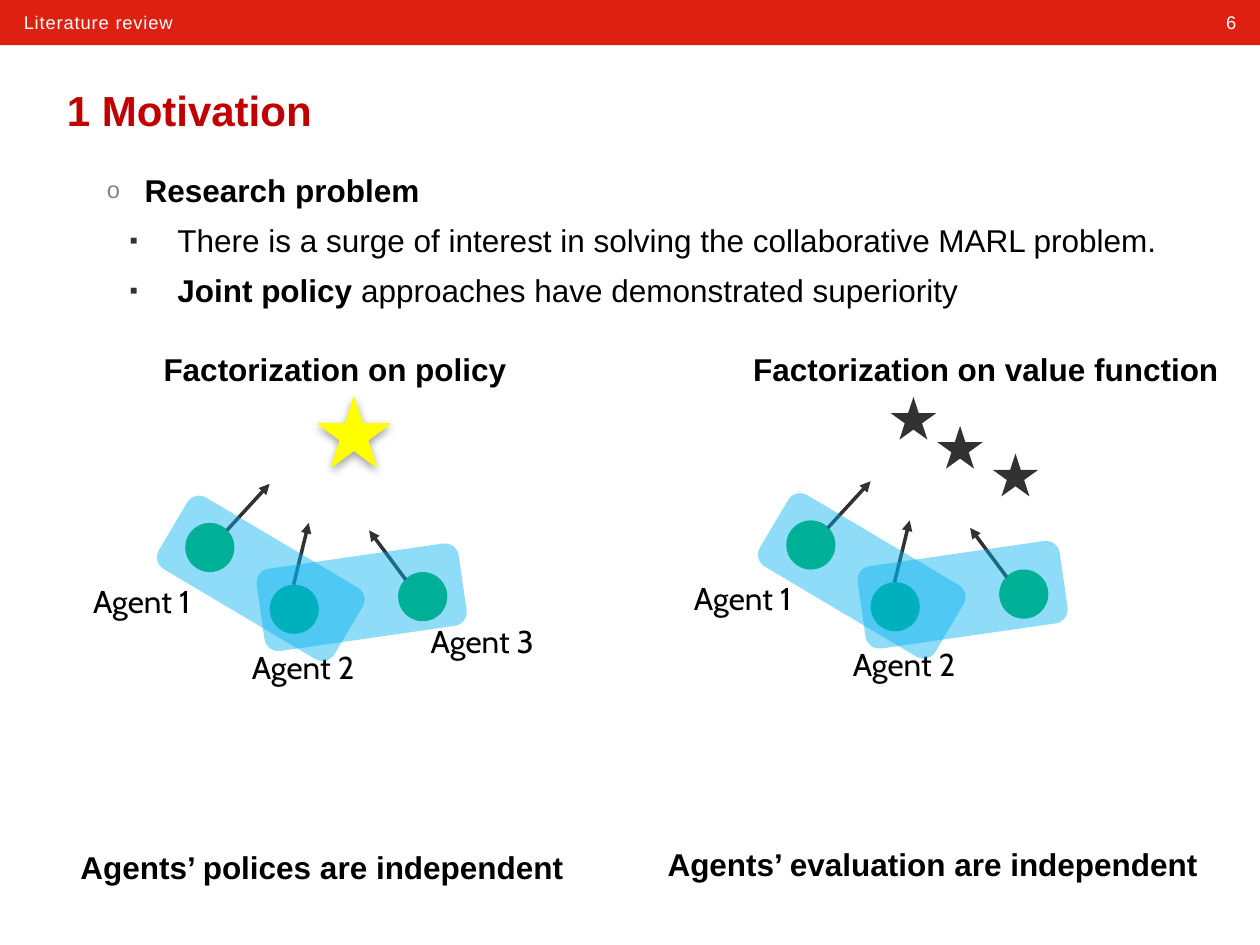
import pptx
import pptx.util
import pptx.dml.color
import pptx.enum.shapes
import pptx.enum.text
import pptx.oxml
import pptx.oxml.ns
import lxml.etree

Inches = pptx.util.Inches
Pt = pptx.util.Pt
SHAPE = pptx.enum.shapes.MSO_SHAPE
ALIGN = pptx.enum.text.PP_ALIGN
qn = pptx.oxml.ns.qn
rgb = pptx.dml.color.RGBColor.from_string

deck = pptx.Presentation()
deck.slide_width = Inches(10)
deck.slide_height = Inches(7.5)
page = deck.slides.add_slide(deck.slide_layouts[5])


def add_shape(kind, left, top, width, height, color):
    shape = page.shapes.add_shape(kind, Inches(left), Inches(top), Inches(width), Inches(height))
    shape.shadow.inherit = False
    shape.fill.solid()
    shape.fill.fore_color.rgb = rgb(color)
    shape.line.fill.background()
    return shape


def add_text(left, top, width, height, text, size=18, color="000000", bold=False, font="Arial", wrap=True):
    box = page.shapes.add_textbox(Inches(left), Inches(top), Inches(width), Inches(height))
    box.text_frame.word_wrap = wrap
    para = box.text_frame.paragraphs[0]
    para.text = text
    span = para.runs[0]
    span.font.name = font
    span.font.size = Pt(size)
    span.font.bold = bold
    span.font.color.rgb = rgb(color)
    return para


add_shape(SHAPE.RECTANGLE, 0, 0, 10, 0.36, "DE2010")
number = add_text(9.19, 0.04, 0.72, 0.28, "6", 10.5, "FFFFFF")
number.alignment = ALIGN.RIGHT
section = add_text(0.09, 0.04, 6.25, 0.28, "Literature review", 10.5, "FFFFFF")
for para in (number, section):
    para.runs[0].font._element.set("spc", "50")

title = page.shapes.title
title.left, title.top, title.width, title.height = Inches(0.43), Inches(0.55), Inches(9.13), Inches(0.64)
title.text_frame.text = "1 Motivation"
title.text_frame.vertical_anchor = pptx.enum.text.MSO_ANCHOR.MIDDLE
para = title.text_frame.paragraphs[0]
para.alignment = ALIGN.LEFT
para.font.name = "Arial"
para.font.size = Pt(24)
para.font.bold = True
para.font.color.rgb = rgb("C00000")

body = page.shapes.add_textbox(Inches(0.43), Inches(1.31), Inches(9.13), Inches(5.83))
body.text_frame.word_wrap = True
bullets = [
    (1, 0.62, -0.3, "o", "848484", [("Research problem", True)]),
    (2, 0.88, -0.38, "▪", "323232",
     [("There is a surge of interest in solving the collaborative MARL problem.", False)]),
    (2, 0.88, -0.38, "▪", "323232",
     [("Joint policy ", True), ("approaches have demonstrated superiority", False)]),
]
for index, (level, margin, indent, mark, mark_color, parts) in enumerate(bullets):
    para = body.text_frame.add_paragraph() if index else body.text_frame.paragraphs[0]
    para.level = level
    if index:
        para.space_before = Pt(7)
    properties = para._p.get_or_add_pPr()
    properties.set("marL", str(Inches(margin)))
    properties.set("indent", str(Inches(indent)))
    bullet_color = lxml.etree.SubElement(properties, qn("a:buClr"))
    lxml.etree.SubElement(bullet_color, qn("a:srgbClr"), val=mark_color)
    lxml.etree.SubElement(properties, qn("a:buSzPct"), val="75000")
    lxml.etree.SubElement(properties, qn("a:buFont"), typeface="Arial")
    lxml.etree.SubElement(properties, qn("a:buChar"), char=mark)
    for text, bold in parts:
        span = para.add_run()
        span.text = text
        span.font.name = "Arial"
        span.font.size = Pt(18)
        span.font.bold = bold
        span.font.color.rgb = rgb("000000")

captions = [
    (0.2, 2.73, 3.96, "Factorization on policy"),
    (4.88, 2.73, 4.94, "Factorization on value function"),
    (-0.46, 6.68, 5.08, "Agents’ polices are independent"),
    (4.2, 6.66, 5.46, "Agents’ evaluation are independent"),
]
for left, top, width, text in captions:
    para = add_text(left, top, width, 0.4, text, bold=True, wrap=False)
    para.level = 2
    para._p.get_or_add_pPr().set("marL", str(Inches(1)))
    para._p.get_or_add_pPr().set("indent", "0")

agents = [(1.47, 4.15), (2.14, 4.64), (3.16, 4.54)]
arrows = [(1.8, 4.21, 2.14, 3.84), (2.33, 4.64, 2.45, 4.15), (3.22, 4.6, 2.93, 4.21)]
labels = [(0.64, 4.57, "Agent 1"), (1.9, 5.09, "Agent 2"), (3.32, 4.89, "Agent 3")]
groups = [(1.74, 3.78, 300.7), (2.54, 3.93, 261.8)]
stray_arrow = (3.69, 4.43, 3.69, 4.43)
panels = [(0, 0, arrows, labels), (4.77, -0.02, arrows + [stray_arrow], labels[:2])]

for shift_x, shift_y, panel_arrows, panel_labels in panels:
    for left, top in agents:
        add_shape(SHAPE.OVAL, left + shift_x, top + shift_y, 0.39, 0.39, "00B050")
    for start_x, start_y, end_x, end_y in panel_arrows:
        arrow = page.shapes.add_connector(
            pptx.enum.shapes.MSO_CONNECTOR.STRAIGHT,
            Inches(start_x + shift_x), Inches(start_y + shift_y),
            Inches(end_x + shift_x), Inches(end_y + shift_y))
        arrow.line.color.rgb = rgb("323232")
        arrow.line.width = Pt(2)
        lxml.etree.SubElement(arrow.line._get_or_add_ln(), qn("a:tailEnd"), type="triangle")
        lxml.etree.SubElement(arrow._element.spPr, qn("a:effectLst"))
    for left, top, text in panel_labels:
        add_text(left + shift_x, top + shift_y, 1.26, 0.4, text, font="Cabin")
    for left, top, angle in groups:
        group = add_shape(SHAPE.ROUNDED_RECTANGLE, left + shift_x, top + shift_y, 0.66, 1.62, "00B0F0")
        group.rotation = angle
        fill_color = group._element.spPr.find(qn("a:solidFill")).find(qn("a:srgbClr"))
        lxml.etree.SubElement(fill_color, qn("a:alpha"), val="44000")

goal = add_shape(SHAPE.STAR_5_POINT, 2.53, 3.16, 0.56, 0.54, "FFFF00")
goal.line.color.rgb = rgb("FFFF00")
goal.line.width = Pt(1)
shadow = lxml.etree.SubElement(
    goal._element.spPr.find(qn("a:effectLst")), qn("a:outerShdw"),
    blurRad=str(Pt(5)), dist=str(Pt(2)), dir="5400000", rotWithShape="0")
shadow_color = lxml.etree.SubElement(shadow, qn("a:srgbClr"), val="808080")
lxml.etree.SubElement(shadow_color, qn("a:alpha"), val="75000")

for left, top in [(7.07, 3.15), (7.44, 3.38), (7.88, 3.6)]:
    add_shape(SHAPE.STAR_5_POINT, left, top, 0.36, 0.34, "323232")

deck.save("out.pptx")
